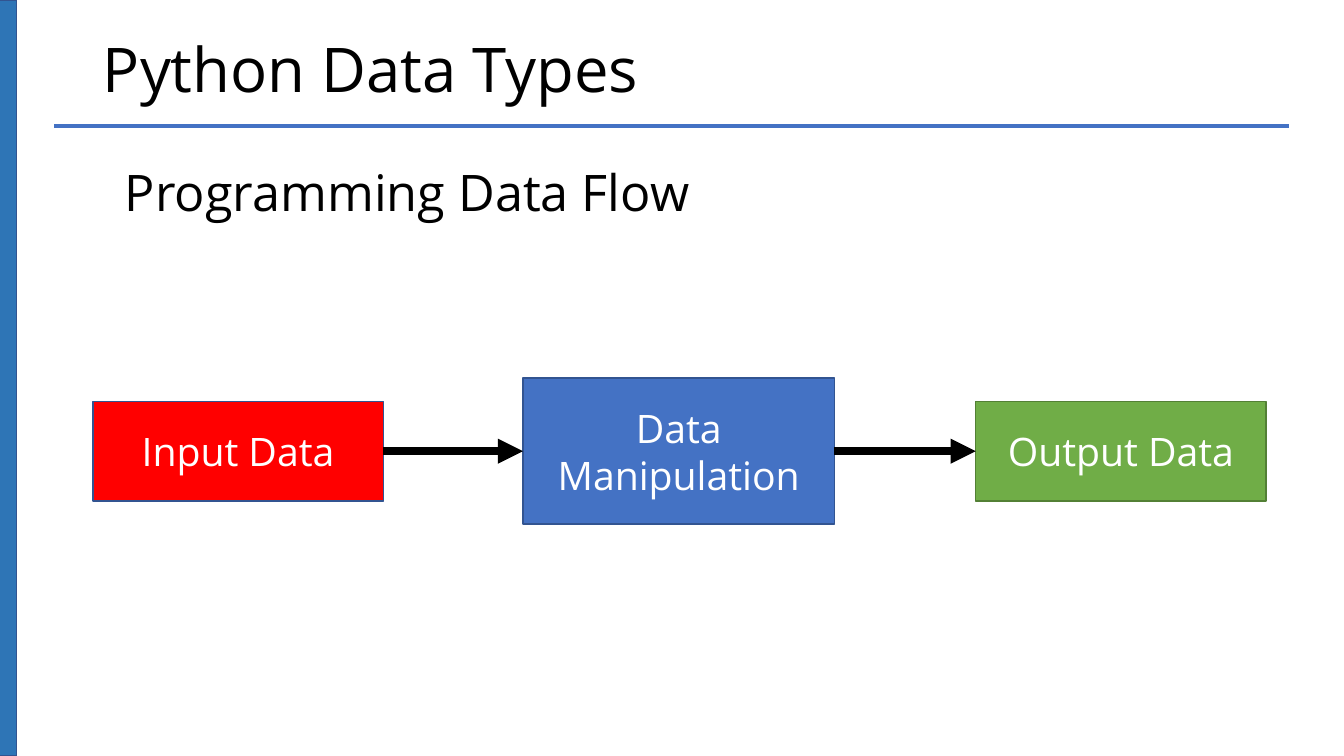
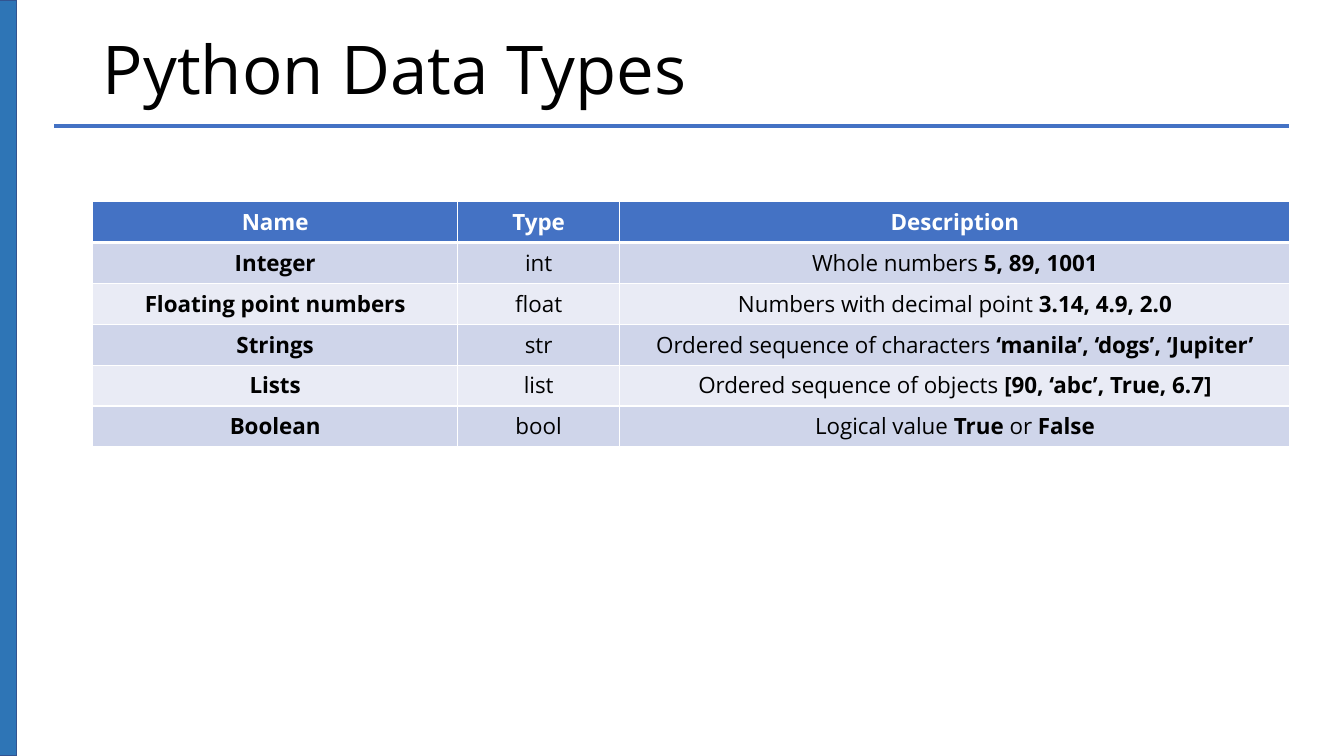
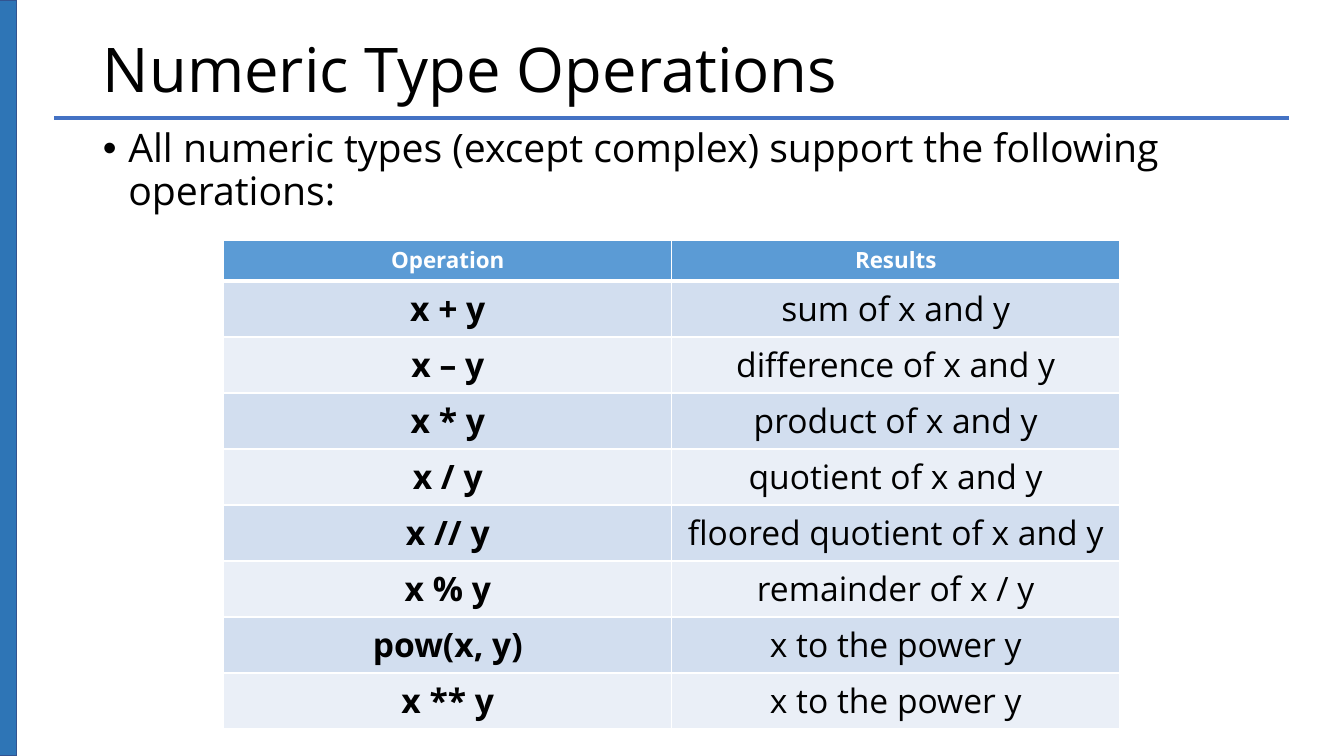
"""Build three slides on Python data types and numeric operations."""
from lxml import etree
from pptx import Presentation
from pptx.dml.color import RGBColor
from pptx.enum.shapes import MSO_CONNECTOR, MSO_SHAPE
from pptx.enum.text import MSO_ANCHOR, PP_ALIGN
from pptx.oxml.ns import qn
from pptx.util import Cm, Pt

RECTANGLE = MSO_SHAPE.RECTANGLE
STRAIGHT = MSO_CONNECTOR.STRAIGHT
MIDDLE = MSO_ANCHOR.MIDDLE
LEFT, CENTER = PP_ALIGN.LEFT, PP_ALIGN.CENTER
LEFT_SITE, RIGHT_SITE = 1, 3
CONTENT_LAYOUT, TITLE_LAYOUT = 1, 5

FONT = "Open Sans"
BLACK = RGBColor(0x00, 0x00, 0x00)
WHITE = RGBColor(0xFF, 0xFF, 0xFF)
RED = RGBColor(0xFF, 0x00, 0x00)
GREEN = RGBColor(0x70, 0xAD, 0x47)
GREEN_EDGE = RGBColor(0x53, 0x80, 0x35)
BLUE = RGBColor(0x44, 0x72, 0xC4)
BLUE_EDGE = RGBColor(0x32, 0x54, 0x91)
BAND_BLUE = RGBColor(0x2E, 0x75, 0xB6)
SKY = RGBColor(0x5B, 0x9B, 0xD5)
BLUE_ROWS = (RGBColor(0xCF, 0xD5, 0xEA), RGBColor(0xE9, 0xEB, 0xF5))
SKY_ROWS = (RGBColor(0xD2, 0xDE, 0xEF), RGBColor(0xEA, 0xEF, 0xF7))

TYPES_TITLE = "Python Data Types"
OPERATIONS_TITLE = "Numeric Type Operations"
FLOW_HEADING = "Programming Data Flow"
OPERATIONS_INTRO = "All numeric types (except complex) support the following operations:"

FLOW_MIDDLE = Cm(11.37)
FLOW_STEPS = [
    ("Input Data", 2.34, 7.32, 2.51, RED, BLUE_EDGE),
    ("Data Manipulation", 13.18, 7.85, 3.68, BLUE, BLUE_EDGE),
    ("Output Data", 24.59, 7.32, 2.51, GREEN, GREEN_EDGE),
]

# Pieces of a description alternate between regular and bold.
TYPE_ROWS = [
    ("Name", "Type", "Description"),
    ("Integer", "int", ("Whole numbers ", "5, 89, 1001")),
    ("Floating point numbers", "float",
     ("Numbers with decimal point ", "3.14, 4.9, 2.0")),
    ("Strings", "str",
     ("Ordered sequence of characters ", "‘manila’, ‘dogs’, ‘Jupiter’")),
    ("Lists", "list",
     ("Ordered sequence of objects ", "[90, ‘abc’, True, 6.7]")),
    ("Boolean", "bool", ("Logical value ", "True", " or ", "False")),
]
OPERATION_ROWS = [
    ("Operation", "Results"),
    ("x + y", "sum of x and y"),
    ("x – y", "difference of x and y"),
    ("x * y", "product of x and y"),
    ("x / y", "quotient of x and y"),
    ("x // y", "floored quotient of x and y"),
    ("x % y", "remainder of x / y"),
    ("pow(x, y)", "x to the power y"),
    ("x ** y", "x to the power y"),
]


def style(span, size, color=BLACK, bold=False):
    span.font.name = FONT
    span.font.size = Pt(size)
    span.font.color.rgb = color
    span.font.bold = bold


def place(box, left, top, width, height):
    box.left, box.top = Cm(left), Cm(top)
    box.width, box.height = Cm(width), Cm(height)


def write(box, text, size, color=BLACK, align=LEFT, spacing=0.9, anchor=MIDDLE):
    frame = box.text_frame
    frame.text = text
    frame.word_wrap = True
    frame.vertical_anchor = anchor
    para = frame.paragraphs[0]
    para.alignment = align
    para.line_spacing = spacing
    style(para.runs[0], size, color)
    return para


def add_rectangle(page, left, top, width, height, fill, edge):
    box = page.shapes.add_shape(RECTANGLE, left, top, width, height)
    box.shadow.inherit = False
    box.fill.solid()
    box.fill.fore_color.rgb = fill
    box.line.color.rgb = edge
    box.line.width = Pt(1)
    return box


def add_line(page, start, end, color, width):
    line = page.shapes.add_connector(STRAIGHT, *start, *end)
    line.line.color.rgb = color
    line.line.width = Pt(width)
    etree.SubElement(line._element.spPr, qn("a:effectLst"))
    return line


def add_page(deck, layout, title, size, rule_top=3.18):
    page = deck.slides.add_slide(deck.slide_layouts[layout])
    add_rectangle(page, Cm(-0.43), 0, Cm(0.85), deck.slide_height, BAND_BLUE, BLUE_EDGE)
    place(page.shapes.title, 2.34, 0, 29.21, 3.68)
    write(page.shapes.title, title, size)
    add_line(page, (Cm(1.37), Cm(rule_top)), (Cm(32.49), Cm(rule_top)), BLUE, 3)
    return page


def add_arrow(page, source, target):
    arrow = add_line(page, (0, 0), (0, 0), BLACK, 6)
    arrow.begin_connect(source, RIGHT_SITE)
    arrow.end_connect(target, LEFT_SITE)
    etree.SubElement(arrow.line._get_or_add_ln(), qn("a:tailEnd"), type="triangle")


def add_borders(cell, bottom):
    for side, width in (("L", 1), ("R", 1), ("T", 1), ("B", bottom)):
        edge = etree.SubElement(cell._tc.get_or_add_tcPr(), qn(f"a:ln{side}"), w=str(Pt(width)))
        fill = etree.SubElement(edge, qn("a:solidFill"))
        etree.SubElement(fill, qn("a:srgbClr"), val=str(WHITE))


def fill_cell(cell, content, size, color, bold, fill, bottom):
    add_borders(cell, bottom)
    cell.fill.solid()
    cell.fill.fore_color.rgb = fill
    para = cell.text_frame.paragraphs[0]
    para.alignment = CENTER
    pieces = (content,) if isinstance(content, str) else content
    for index, piece in enumerate(pieces):
        span = para.add_run()
        span.text = piece
        style(span, size, color, bold or index % 2 == 1)


def add_grid(page, rows, left, top, widths, row_height, size, header_fill, row_fills):
    heights = [1.03] + [row_height] * (len(rows) - 1)
    grid = page.shapes.add_table(len(rows), len(widths), Cm(left), Cm(top),
                                 Cm(sum(widths)), Cm(sum(heights))).table
    for column, width in zip(grid.columns, widths):
        column.width = Cm(width)
    for r, (row, height) in enumerate(zip(rows, heights)):
        grid.rows[r].height = Cm(height)
        for c, content in enumerate(row):
            if r == 0:
                fill_cell(grid.cell(r, c), content, 16, WHITE, True, header_fill, 3)
            else:
                fill_cell(grid.cell(r, c), content, size, BLACK, c == 0,
                          row_fills[(r - 1) % 2], 1)


def build_flow(deck):
    page = add_page(deck, TITLE_LAYOUT, TYPES_TITLE, 44)
    heading = page.shapes.add_textbox(Cm(2.9), Cm(3.45), Cm(22.5), Cm(2.92))
    write(heading, FLOW_HEADING, 36)
    boxes = []
    for text, left, width, height, fill, edge in FLOW_STEPS:
        top = FLOW_MIDDLE - Cm(height) // 2
        box = add_rectangle(page, Cm(left), top, Cm(width), Cm(height), fill, edge)
        write(box, text, 28, WHITE, CENTER, 1.0)
        boxes.append(box)
    for source, target in zip(boxes, boxes[1:]):
        add_arrow(page, source, target)


def build_types(deck):
    page = add_page(deck, TITLE_LAYOUT, TYPES_TITLE, 48)
    add_grid(page, TYPE_ROWS, 2.34, 5.08, (9.19, 4.09, 16.89), 1.03, 16, BLUE, BLUE_ROWS)


def build_operations(deck):
    page = add_page(deck, CONTENT_LAYOUT, OPERATIONS_TITLE, 44, 2.97)
    body = page.placeholders[1]
    place(body, 2.34, 3.12, 30.73, 12.09)
    para = write(body, OPERATIONS_INTRO, 28, anchor=MSO_ANCHOR.TOP)
    para.space_before = Pt(10)
    properties = para._p.get_or_add_pPr()
    properties.set("marL", str(Cm(0.64)))
    properties.set("indent", str(Cm(-0.64)))
    add_grid(page, OPERATION_ROWS, 5.64, 6.05, (11.29, 11.29), 1.41, 24, SKY, SKY_ROWS)


def main():
    deck = Presentation()
    deck.slide_width, deck.slide_height = Cm(33.87), Cm(19.05)
    build_flow(deck)
    build_types(deck)
    build_operations(deck)
    deck.save("out.pptx")


main()
